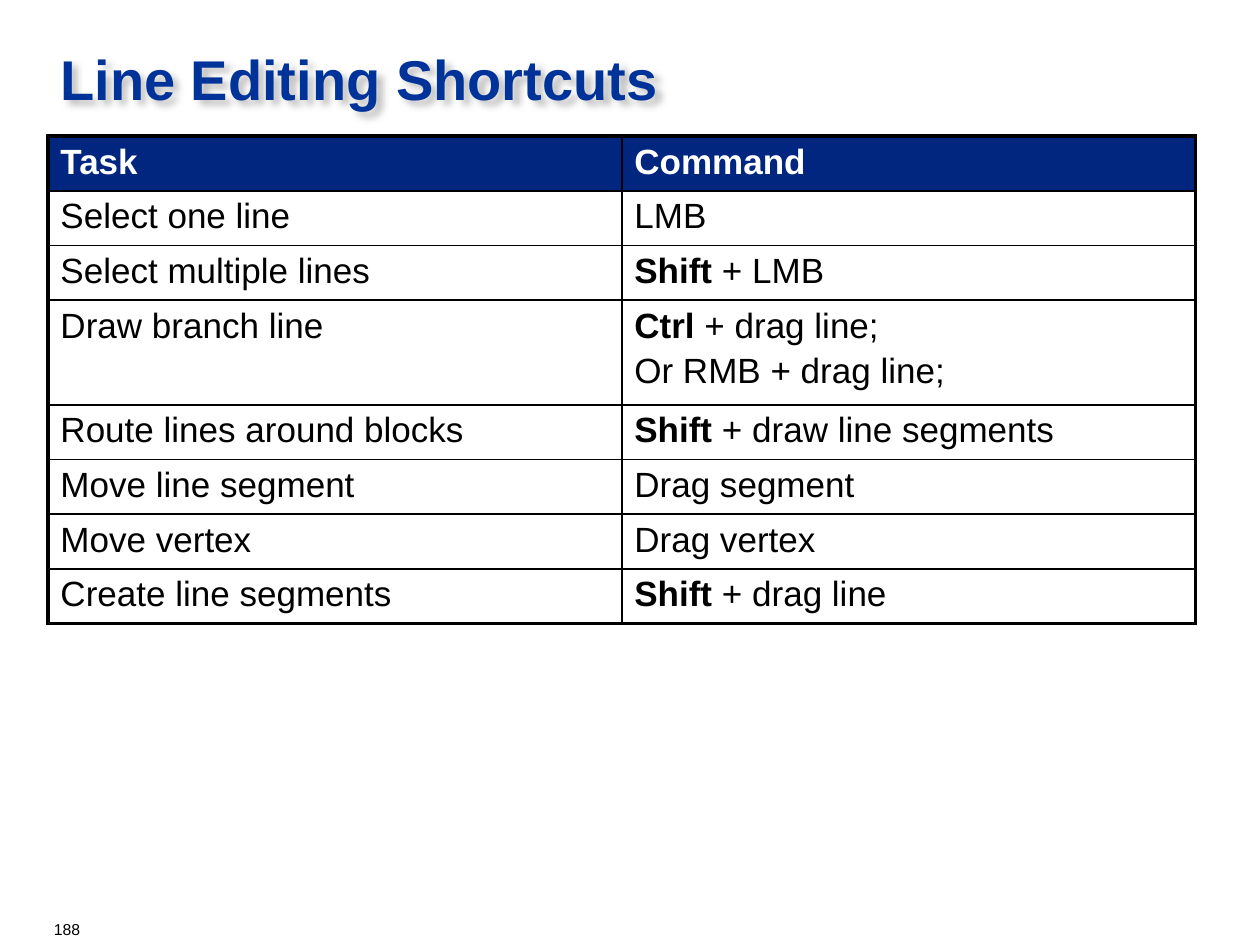
"""Build the slide listing the line editing shortcuts."""
from lxml import etree
from pptx import Presentation, util as u
from pptx.dml.color import RGBColor
from pptx.enum import text
from pptx.oxml import ns

TITLE = "Line Editing Shortcuts"
PAGE_NUMBER = "188"
HEADINGS = ("Task", "Command")
SHORTCUTS = [
    ("Select one line", [("", "LMB")]),
    ("Select multiple lines", [("Shift", " + LMB")]),
    ("Draw branch line", [("Ctrl", " + drag line;"), ("", "Or RMB + drag line;")]),
    ("Route lines around blocks", [("Shift", " + draw line segments")]),
    ("Move line segment", [("", "Drag segment")]),
    ("Move vertex", [("", "Drag vertex")]),
    ("Create line segments", [("Shift", " + drag line")]),
]
LEFT, TABLE_TOP, WIDTH, TABLE_HEIGHT = 0.38, 1.08, 9.11, 3.87
TALL_ROW = 0.83
OUTER, INNER = 2.25, 1
TITLE_FORMAT = {"size": u.Pt(32), "bold": True, "color": "003399"}
PAGE_FORMAT = {"size": u.Pt(9), "bold": False, "color": "000000"}
HEADING_FORMAT = {"size": u.Pt(20), "bold": True, "color": "FFFFFF"}
KEY_FORMAT = {**HEADING_FORMAT, "color": "000000"}
BODY_FORMAT = {**KEY_FORMAT, "bold": False}
FRAME_FORMAT = {"word_wrap": True, "auto_size": text.MSO_AUTO_SIZE.NONE,
                "vertical_anchor": text.MSO_ANCHOR.TOP}


def paint(colour_format, colour):
    colour_format.rgb = RGBColor.from_string(colour)


def add_run(paragraph, words, font_format):
    run = paragraph.add_run()
    run.text = words
    run.font.name = "Arial"
    for key, value in font_format.items():
        if key == "color":
            paint(run.font.color, value)
        else:
            setattr(run.font, key, value)


def fill_frame(frame, words, font_format):
    for key, value in FRAME_FORMAT.items():
        setattr(frame, key, value)
    paragraph = frame.paragraphs[0]
    paragraph.alignment = text.PP_ALIGN.LEFT
    add_run(paragraph, words, font_format)


def add_element(parent, tag, **attributes):
    return etree.SubElement(parent, ns.qn(tag), attributes)


def add_colour(parent, colour):
    return add_element(parent, "a:srgbClr", val=colour)


def add_soft_shadow(shape):
    effects = add_element(shape.element.spPr, "a:effectLst")
    shadow = add_element(effects, "a:outerShdw", blurRad="50800", dist="50800",
                         dir="2700000", algn="tl", rotWithShape="0")
    add_element(add_colour(shadow, "000000"), "a:alpha", val="25000")


def set_borders(cell, widths):
    properties = cell._tc.get_or_add_tcPr()
    for place, (side, width) in enumerate(widths.items()):
        line = add_element(properties, f"a:ln{side}", w=str(u.Pt(width)))
        add_colour(add_element(line, "a:solidFill"), "000000")
        properties.insert(place, line)


def fill_cell(cell, lines, fill):
    cell.fill.solid()
    paint(cell.fill.fore_color, fill)
    for index, runs in enumerate(lines):
        frame = cell.text_frame
        paragraph = frame.add_paragraph() if index else frame.paragraphs[0]
        if index:
            paragraph.space_before = u.Pt(3.3)
        for words, font_format in runs:
            if words:
                add_run(paragraph, words, font_format)


def add_shortcut_table(slide):
    rows = [([[(HEADINGS[0], HEADING_FORMAT)]], [[(HEADINGS[1], HEADING_FORMAT)]])]
    for task, commands in SHORTCUTS:
        rows.append(([[(task, BODY_FORMAT)]],
                     [[(key, KEY_FORMAT), (rest, BODY_FORMAT)] for key, rest in commands]))
    last_row, last_column = len(rows) - 1, len(HEADINGS) - 1
    table = slide.shapes.add_table(
        len(rows), len(HEADINGS), u.Inches(LEFT), u.Inches(TABLE_TOP),
        u.Inches(WIDTH), u.Inches(TABLE_HEIGHT)).table
    table.first_row = True
    table.horz_banding = False
    plain_row = (TABLE_HEIGHT - TALL_ROW) / last_row
    for r, cells in enumerate(rows):
        table.rows[r].height = u.Inches(TALL_ROW if len(cells[1]) > 1 else plain_row)
        for c, lines in enumerate(cells):
            cell = table.cell(r, c)
            fill_cell(cell, lines, "FFFFFF" if r else "00267F")
            set_borders(cell, {"L": INNER if c else OUTER,
                               "R": OUTER if c == last_column else INNER,
                               "T": INNER if r else OUTER,
                               "B": OUTER if r == last_row else INNER})


def main():
    deck = Presentation()
    deck.slide_width, deck.slide_height = u.Inches(10), u.Inches(7.5)
    slide = deck.slides.add_slide(deck.slide_layouts[5])

    title = slide.shapes.title
    title.left, title.top, title.width, title.height = map(u.Inches, (LEFT, 0.3, WIDTH, 1))
    fill_frame(title.text_frame, TITLE, TITLE_FORMAT)
    add_soft_shadow(title)

    add_shortcut_table(slide)

    page = slide.shapes.add_textbox(*map(u.Inches, (0.33, 7.25, 0.75, 0.25)))
    fill_frame(page.text_frame, PAGE_NUMBER, PAGE_FORMAT)
    deck.save("out.pptx")


if __name__ == "__main__":
    main()
